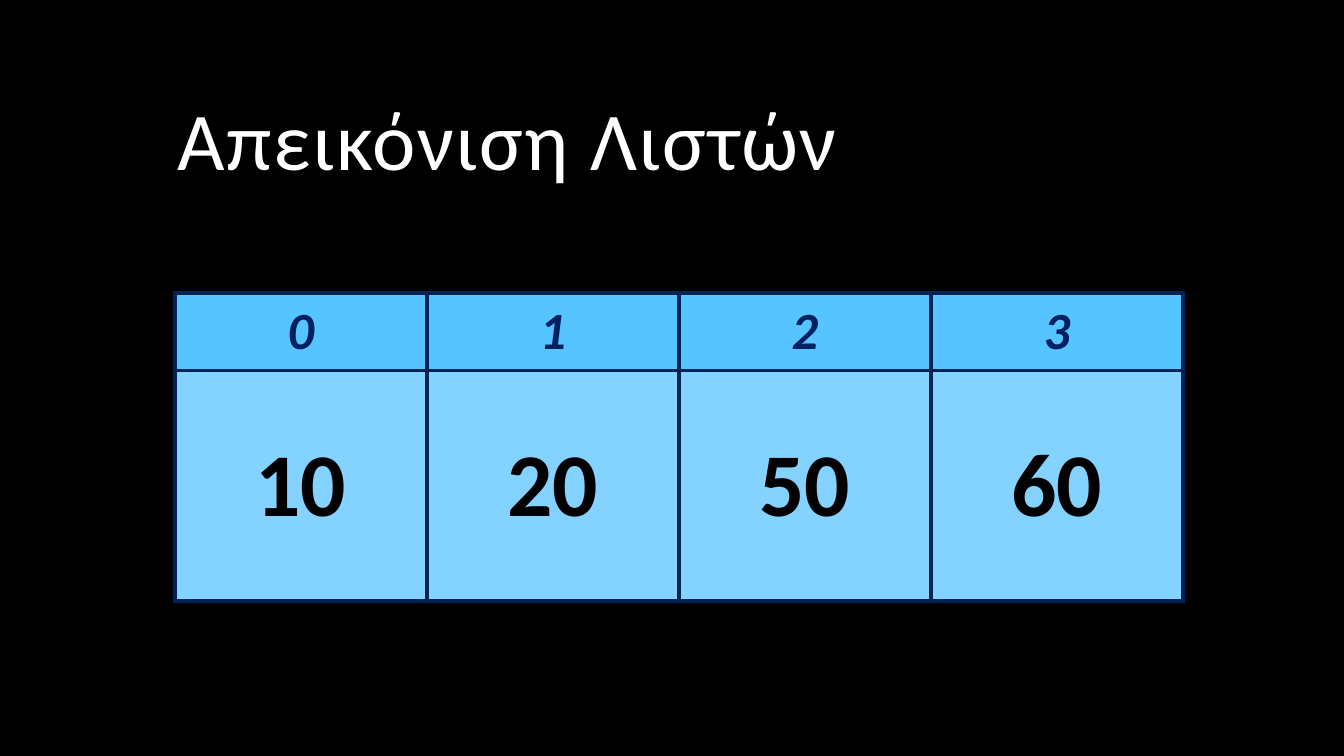
import pptx
import pptx.dml.color
import pptx.enum.text
import pptx.oxml
import pptx.oxml.ns
import pptx.util

SCALE = 914400 / 134.4
FONT = "Calibri"
EDGE = "002356"
ANCHOR = pptx.enum.text.MSO_ANCHOR
ALIGN = pptx.enum.text.PP_ALIGN
ROWS = [
    (77, ["0", "1", "2", "3"], "56C5FF", "002060", {"size": 28, "italic": True}),
    (231, ["10", "20", "50", "60"], "83D2FF", "000000", {"size": 48, "italic": False}),
]


def px(count):
    return pptx.util.Emu(round(count * SCALE))


def tint(target, code):
    target.rgb = pptx.dml.color.RGBColor.from_string(code)


def paint(fill, code):
    fill.solid()
    tint(fill.fore_color, code)


def apply(target, values):
    for name, value in values.items():
        setattr(target, name, value)


def write(frame, text, code, size, align, **style):
    line = frame.paragraphs[0]
    line.alignment = align
    run = line.add_run()
    run.text = text
    apply(run.font, {"name": FONT, "size": pptx.util.Pt(size), **style})
    tint(run.font.color, code)
    return line, run


def border(cell):
    props = cell._tc.get_or_add_tcPr()
    space = pptx.oxml.ns.nsdecls("a")
    for spot, side in enumerate("LRTB"):
        props.insert(spot, pptx.oxml.parse_xml(
            f'<a:ln{side} {space} w="{pptx.util.Pt(2.25)}"><a:solidFill>'
            f'<a:srgbClr val="{EDGE}"/></a:solidFill></a:ln{side}>'))


def add_title(slide, text):
    title = slide.shapes.title
    apply(title, {"left": px(168), "top": px(42), "width": px(1008), "height": px(151)})
    frame = title.text_frame
    apply(frame, {
        "margin_left": px(10), "margin_right": px(10),
        "margin_top": px(5), "margin_bottom": px(5),
        "word_wrap": True, "vertical_anchor": ANCHOR.BOTTOM,
        "auto_size": pptx.enum.text.MSO_AUTO_SIZE.NONE,
    })
    line, run = write(frame, text, "FFFFFF", 44, ALIGN.LEFT)
    line.line_spacing = 0.9
    run.font._element.set("spc", "80")


def add_grid(slide):
    count = len(ROWS[0][1])
    tall = sum(row[0] for row in ROWS)
    table = slide.shapes.add_table(
        len(ROWS), count, px(175), px(293), px(252 * count), px(tall)).table
    for column in table.columns:
        column.width = px(252)
    for row, (height, texts, fill, ink, style) in enumerate(ROWS):
        table.rows[row].height = px(height)
        for col, text in enumerate(texts):
            cell = table.cell(row, col)
            cell.vertical_anchor = ANCHOR.MIDDLE
            paint(cell.fill, fill)
            border(cell)
            write(cell.text_frame, text, ink, align=ALIGN.CENTER, bold=True, **style)


def main():
    deck = pptx.Presentation()
    apply(deck, {"slide_width": px(1344), "slide_height": px(756)})
    slide = deck.slides.add_slide(deck.slide_layouts[5])
    paint(slide.background.fill, "000000")
    add_title(slide, "Απεικόνιση Λιστών")
    add_grid(slide)
    deck.save("out.pptx")


if __name__ == "__main__":
    main()
